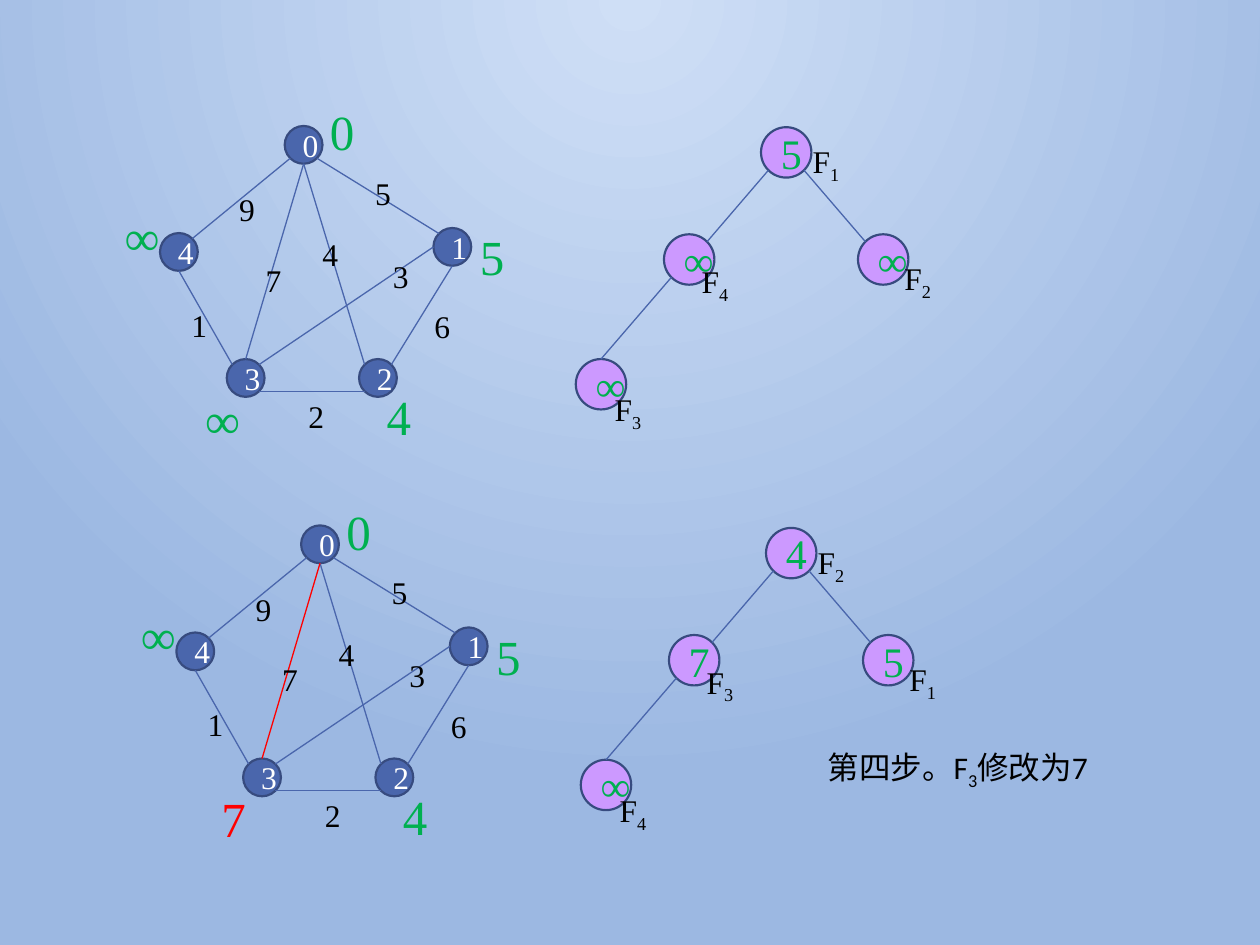
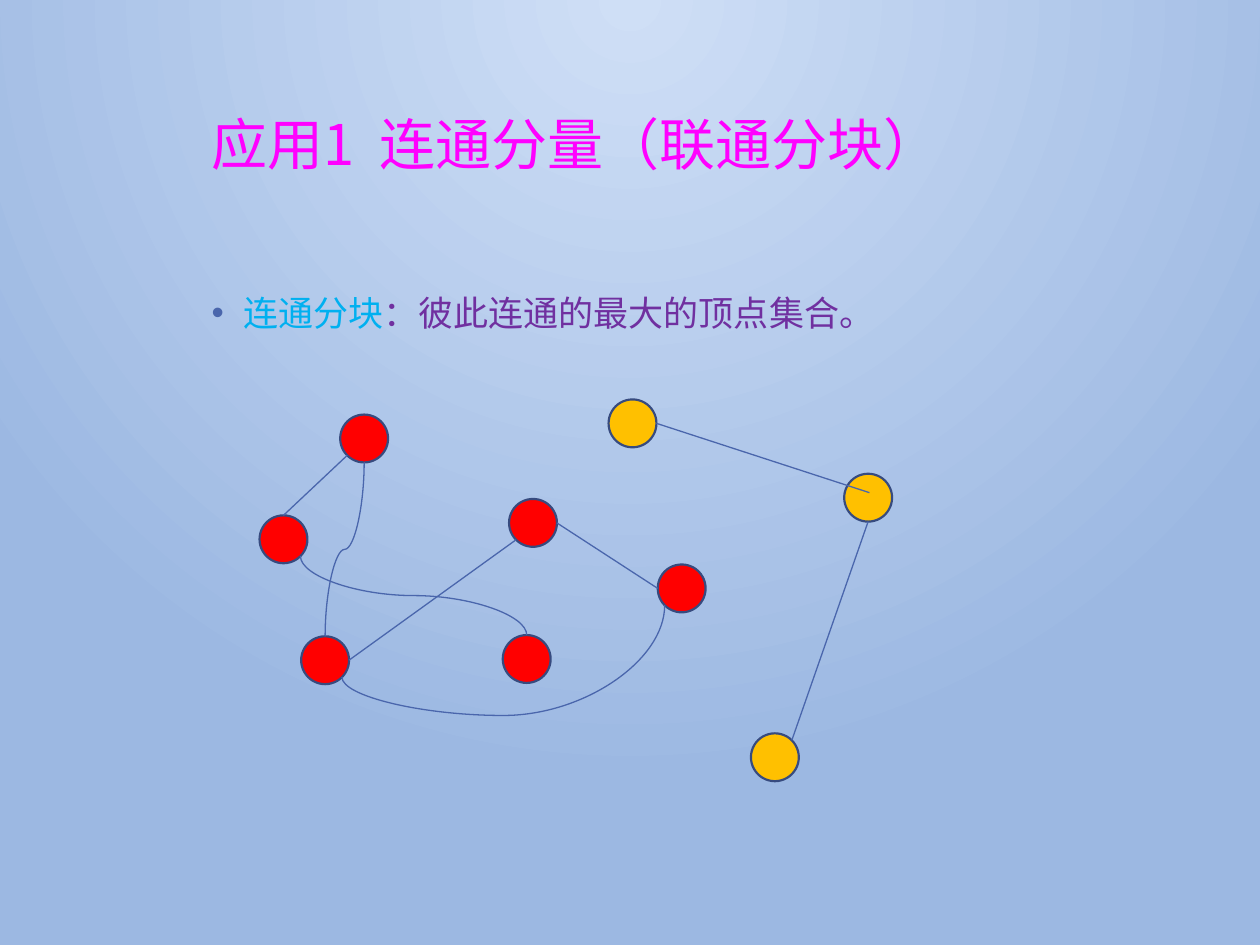
from math import cos, pi, sin

from lxml import etree
from pptx import Presentation
from pptx.dml.color import RGBColor
from pptx.enum.shapes import MSO_CONNECTOR, MSO_SHAPE
from pptx.enum.text import MSO_ANCHOR, MSO_AUTO_SIZE, PP_ALIGN
from pptx.oxml.ns import qn
from pptx.util import Inches, Pt

STRAIGHT, CURVE = MSO_CONNECTOR.STRAIGHT, MSO_CONNECTOR.CURVE
OVAL = MSO_SHAPE.OVAL
CENTER, LEFT = PP_ALIGN.CENTER, PP_ALIGN.LEFT
TOP = MSO_ANCHOR.TOP
FIT_SHAPE, NO_FIT = MSO_AUTO_SIZE.SHAPE_TO_FIT_TEXT, MSO_AUTO_SIZE.NONE

BLUE, OUTLINE, BLACK, WHITE = "4A66AC", "374B7F", "000000", "FFFFFF"
GREEN, RED, LILAC, GOLD = "00B050", "FF0000", "CC99FF", "FFC000"
MAGENTA, CYAN, PURPLE = "FF00FF", "00B0F0", "7030A0"
BACKGROUND = ("CFDFF6", "9CB8E2")
SERIF, SANS, CJK = "Times New Roman", "Calibri", "Noto Sans CJK SC"

N, NW, W, SW, S, SE, E, NE = range(8)

VERTICES = {"0": (2.26, 1), "4": (1.27, 1.85), "3": (1.8, 2.85),
            "2": (2.85, 2.85), "1": (3.44, 1.81)}
EDGES = [("0", SW, "4", NE), ("3", NW, "4", S), ("1", NW, "0", SE),
         ("2", SW, "3", SE), ("1", S, "2", NE), ("2", NW, "0", S),
         ("3", N, "0", S), ("1", W, "3", NE)]
WEIGHTS = [("9", 1.8, 1.46), ("5", 2.88, 1.33), ("4", 2.46, 1.82),
           ("7", 2.01, 2.02), ("1", 1.42, 2.38), ("2", 2.35, 3.1),
           ("3", 3.02, 1.99), ("6", 3.35, 2.39)]
DISTANCE_SPOTS = {"4": (0.89, 1.59), "0": (2.52, 0.76), "3": (1.53, 3.04),
                  "1": (3.71, 1.75), "2": (2.97, 3.02)}

HEAP_SPOTS = {"root": (6.04, 1.01), "left": (5.27, 1.86),
              "right": (6.81, 1.86), "leaf": (4.57, 2.85)}
HEAP_LABEL_SHIFTS = {"root": (0.31, 0.07), "left": (0.2, 0.17),
                     "right": (0.27, 0.15), "leaf": (0.21, 0.2)}
HEAP_LINKS = [("left", NE, "root", SW), ("right", NW, "root", SE),
              ("leaf", N, "left", SW)]

STATES = [
    {"graph_shift": (0, 0), "heap_shift": (0, 0), "changed": None,
     "distances": {"0": "0", "1": "5", "2": "4", "3": "∞", "4": "∞"},
     "heap": {"root": ("5", "1"), "left": ("∞", "4"),
              "right": ("∞", "2"), "leaf": ("∞", "3")}},
    {"graph_shift": (0.13, 3.17), "heap_shift": (0.04, 3.18), "changed": "3",
     "distances": {"0": "0", "1": "5", "2": "4", "3": "7", "4": "∞"},
     "heap": {"root": ("4", "2"), "left": ("7", "3"),
              "right": ("5", "1"), "leaf": ("∞", "4")}},
]
STEP_NOTE = [("第四步。F", {}), ("3", {"sub": True}), ("修改为7", {})]

TITLE = [("应用1", {}), (" ", {"gap": 7}), ("连通分量（联通分块）", {})]
DEFINITION = [("连通分块", {"color": CYAN}),
              ("：彼此连通的最大的顶点集合。", {"color": PURPLE})]
COMPONENTS = {
    "a": (2.7, 3.29, RED), "b": (2.06, 4.09, RED), "c": (2.39, 5.05, RED),
    "d": (3.99, 5.04, RED), "x": (5.96, 5.82, GOLD), "y": (6.7, 3.76, GOLD),
    "e": (4.04, 3.96, RED), "f": (5.22, 4.48, RED), "z": (4.83, 3.17, GOLD)}
STRAIGHT_LINKS = [("a", SW, "b", N), ("c", E, "e", SW),
                  ("y", S, "x", NE), ("e", E, "f", W)]
CURVED_LINKS = [("a", S, "c", N, 90, 1, 1, 50000),
                ("b", SE, "d", N, 270, -1, 1, 50000),
                ("c", SE, "f", SW, 90, -1, -1, -53500)]
LOOSE_END = (6.9, 3.91)


def rgb(color):
    return RGBColor.from_string(color)


def shifted(spot, shift):
    return spot[0] + shift[0], spot[1] + shift[1]


def write(frame, pieces, size, color, font=SERIF, align=LEFT, east_asian=None):
    paragraph = frame.paragraphs[0]
    paragraph.alignment = align
    paragraph.font.size = Pt(size)
    paragraph.font.name = font
    paragraph.font.color.rgb = rgb(color)
    if east_asian:
        defaults = paragraph._p.pPr.find(qn("a:defRPr"))
        etree.SubElement(defaults, qn("a:ea"), typeface=east_asian)
    for words, look in pieces:
        run = paragraph.add_run()
        run.text = words
        if "color" in look:
            run.font.color.rgb = rgb(look["color"])
        if "sub" in look:
            run._r.get_or_add_rPr().set("baseline", "-25000")
        if "gap" in look:
            run._r.get_or_add_rPr().set("spc", str(look["gap"] * 100))
    return paragraph


def add_label(shapes, spot, size, pieces, points, color, wrap=True, **look):
    box = shapes.add_textbox(*map(Inches, spot + size))
    box.text_frame.word_wrap = wrap
    box.text_frame.auto_size = FIT_SHAPE
    write(box.text_frame, pieces, points, color, **look)


def add_node(shapes, spot, diameter, fill):
    node = shapes.add_shape(OVAL, *map(Inches, spot + (diameter, diameter)))
    node.shadow.inherit = False
    node.fill.solid()
    node.fill.fore_color.rgb = rgb(fill)
    node.line.color.rgb = rgb(OUTLINE)
    node.line.width = Pt(1.25)
    return node


def site_point(node, site):
    angle = pi / 2 + site * pi / 4
    return (int(node.left + node.width / 2 * (1 + cos(angle))),
            int(node.top + node.height / 2 * (1 - sin(angle))))


def add_line(shapes, kind, begin, end, color=BLUE):
    line = shapes.add_connector(kind, *begin, *end)
    line.line.color.rgb = rgb(color)
    line.line.width = Pt(0.75)
    etree.SubElement(line.element.spPr, qn("a:effectLst"))
    return line


def glue(line, tag, node, site):
    ends = line.element.find(".//" + qn("p:cNvCxnSpPr"))
    etree.SubElement(ends, qn(tag), id=str(node.shape_id), idx=str(site))


def add_link(shapes, nodes, link, color=BLUE):
    first, first_site, second, second_site = link
    line = add_line(shapes, STRAIGHT, site_point(nodes[first], first_site),
                    site_point(nodes[second], second_site), color)
    glue(line, "a:stCxn", nodes[first], first_site)
    glue(line, "a:endCxn", nodes[second], second_site)


def add_curve(shapes, nodes, link):
    first, first_site, second, second_site, turn, across, down, bend = link
    x1, y1 = site_point(nodes[first], first_site)
    x2, y2 = site_point(nodes[second], second_site)
    middle_x, middle_y = (x1 + x2) // 2, (y1 + y2) // 2
    half_width, half_height = abs(y2 - y1) // 2 * across, abs(x2 - x1) // 2 * down
    curve = add_line(shapes, CURVE,
                     (middle_x - half_width, middle_y - half_height),
                     (middle_x + half_width, middle_y + half_height))
    curve.element.spPr.find(qn("a:xfrm")).set("rot", str(turn * 60000))
    adjustments = curve.element.spPr.find(".//" + qn("a:avLst"))
    etree.SubElement(adjustments, qn("a:gd"), name="adj1", fmla=f"val {bend}")
    glue(curve, "a:stCxn", nodes[first], first_site)
    glue(curve, "a:endCxn", nodes[second], second_site)


def add_graph(slide, state):
    shapes = slide.shapes.add_group_shape().shapes
    shift, changed = state["graph_shift"], state["changed"]
    nodes = {}
    for name, spot in VERTICES.items():
        nodes[name] = add_node(shapes, shifted(spot, shift), 0.3, BLUE)
        write(nodes[name].text_frame, [(name, {})], 18, WHITE, align=CENTER)
    for edge in EDGES:
        updated = (edge[0], edge[2]) == (changed, "0")
        add_link(shapes, nodes, edge, RED if updated else BLUE)
    for weight, *spot in WEIGHTS:
        add_label(shapes, shifted(spot, shift), (0.33, 0.4), [(weight, {})],
                  18, BLACK, wrap=False)
    for name, spot in DISTANCE_SPOTS.items():
        add_label(shapes, shifted(spot, shift), (0.4, 0.57),
                  [(state["distances"][name], {})], 28,
                  RED if name == changed else GREEN)


def add_heap(slide, state):
    shapes, shift = slide.shapes, state["heap_shift"]
    nodes = {}
    for place, spot in HEAP_SPOTS.items():
        nodes[place] = add_node(shapes, shifted(spot, shift), 0.4, LILAC)
        write(nodes[place].text_frame, [(state["heap"][place][0], {})],
              24, GREEN, align=CENTER)
    for place, label_shift in HEAP_LABEL_SHIFTS.items():
        spot = shifted(shifted(HEAP_SPOTS[place], shift), label_shift)
        is_root = place == "root"
        add_label(shapes, spot, (0.55 if is_root else 0.43, 0.4),
                  [("F", {}), (state["heap"][place][1], {"sub": True})],
                  18, BLACK, wrap=is_root)
    for link in HEAP_LINKS:
        add_link(shapes, nodes, link)


def place_text(placeholder, left, top, width, height):
    placeholder.left, placeholder.top = Inches(left), Inches(top)
    placeholder.width, placeholder.height = Inches(width), Inches(height)
    placeholder.text_frame.vertical_anchor = TOP
    placeholder.text_frame.auto_size = NO_FIT
    return placeholder.text_frame


def paint_background(master):
    fill = master.background.fill
    fill.gradient()
    for stop, color in zip(fill.gradient_stops, BACKGROUND):
        stop.color.rgb = rgb(color)
    gradient = master.element.find(".//" + qn("p:bg")).find(".//" + qn("a:gradFill"))
    direction = gradient.find(qn("a:lin"))
    radial = etree.Element(qn("a:path"), {"path": "circle"})
    etree.SubElement(radial, qn("a:fillToRect"),
                     l="43000", t="0", r="43000", b="100000")
    gradient.replace(direction, radial)


def build_steps(prs):
    slide = prs.slides.add_slide(prs.slide_layouts[6])
    add_label(slide.shapes, (6.47, 5.89), (2.89, 0.4), STEP_NOTE, 18, BLACK,
              font=SANS, east_asian=CJK)
    for state in STATES:
        add_graph(slide, state)
        add_heap(slide, state)


def build_components(prs):
    slide = prs.slides.add_slide(prs.slide_layouts[1])
    title = place_text(slide.shapes.title, 1.58, 0.88, 7.19, 1.15)
    write(title, TITLE, 32, MAGENTA, font=CJK, east_asian=CJK).line_spacing = 0.9

    body = place_text(slide.placeholders[1], 1.58, 2.2, 7.19, 3.77)
    definition = write(body, DEFINITION, 20, PURPLE, font=SANS, east_asian=CJK)
    definition.line_spacing = 1.2
    definition.space_before = Pt(10)
    properties = definition._p.pPr
    properties.set("marL", str(Inches(0.25)))
    properties.set("indent", str(Inches(-0.25)))
    defaults = properties.find(qn("a:defRPr"))
    bullet_color = etree.Element(qn("a:buClr"))
    etree.SubElement(bullet_color, qn("a:srgbClr"), val=BLUE)
    defaults.addprevious(bullet_color)
    defaults.addprevious(etree.Element(qn("a:buFont"), typeface="Arial"))
    defaults.addprevious(etree.Element(qn("a:buChar"), char="•"))

    shapes = slide.shapes
    nodes = {name: add_node(shapes, (left, top), 0.38, fill)
             for name, (left, top, fill) in COMPONENTS.items()}
    for link in STRAIGHT_LINKS:
        add_link(shapes, nodes, link)
    for link in CURVED_LINKS:
        add_curve(shapes, nodes, link)
    add_line(shapes, STRAIGHT, site_point(nodes["z"], E),
             tuple(map(Inches, LOOSE_END)))


def main():
    prs = Presentation()
    prs.slide_width, prs.slide_height = Inches(10), Inches(7.5)
    paint_background(prs.slide_master)
    build_steps(prs)
    build_components(prs)
    prs.save("out.pptx")


if __name__ == "__main__":
    main()
